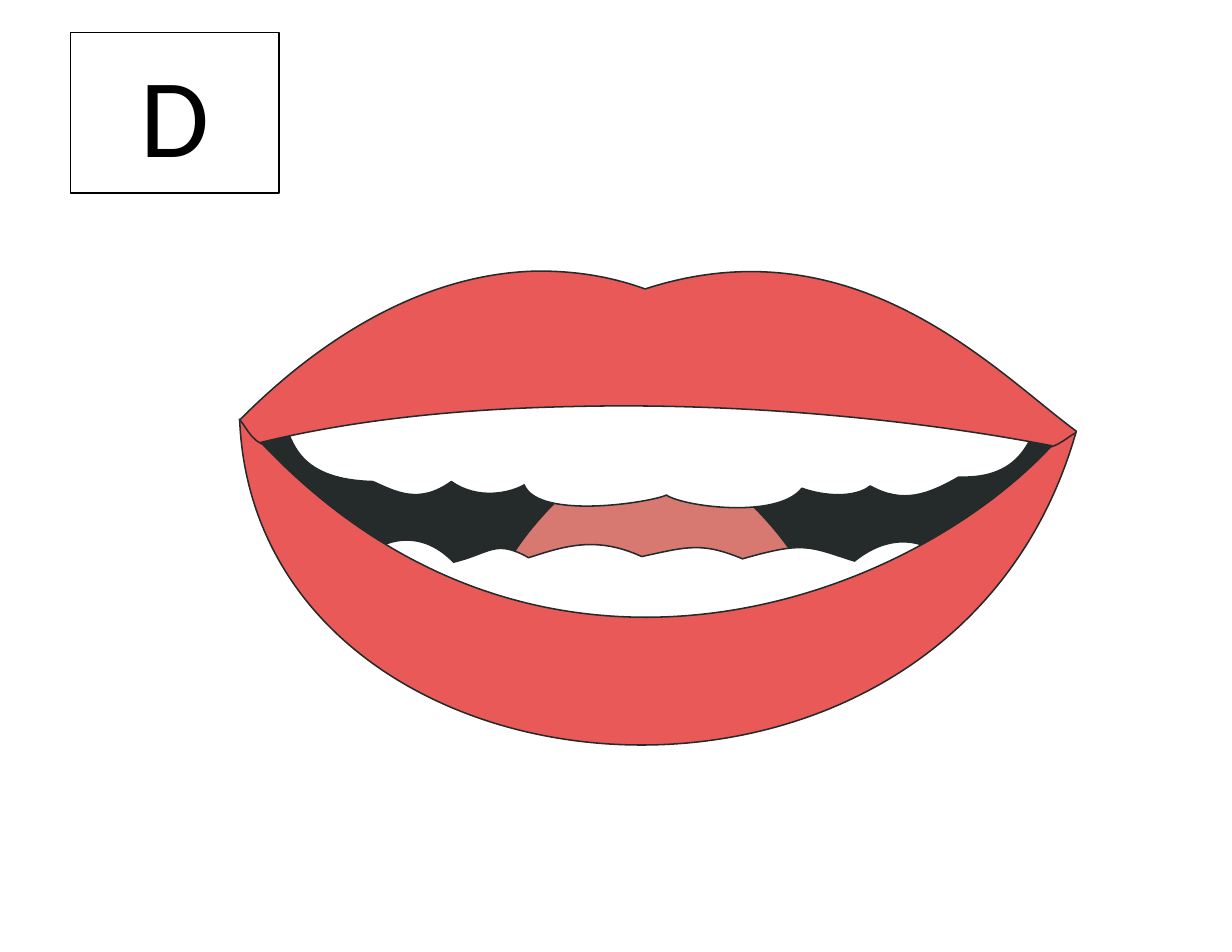
import math

import lxml.etree
import pptx
import pptx.dml.color
import pptx.enum.shapes
import pptx.enum.text
import pptx.oxml.ns
import pptx.util

Cm = pptx.util.Cm
Pt = pptx.util.Pt
qn = pptx.oxml.ns.qn

HUE = {"white": "FFFFFF", "black": "000000", "dark": "252B2A",
       "lip": "E95958", "tongue": "D77971"}
UNIT = 2.54  # centimetres for one drawing unit

# Each contour starts at a point; then 2 numbers are a line, 6 a cubic curve.
MOUTH = [[(2.25, 3.88), (4.6, 3.29, 7.6, 3.53, 9.45, 3.91),
          (8.12, 5.45, 4.79, 6.77, 2.25, 3.88)]]
TONGUE = [[(7.24, 5.59), (6.98, 6.05, 4.7, 6, 4.44, 5.55),
           (4.2, 5.11, 5.35, 3.95, 5.82, 3.95),
           (6.29, 3.96, 7.49, 5.12, 7.24, 5.59)]]
LOWER = [[(3.57, 5.61), (2.55, 5.56, 3.42, 4.36, 4.05, 5.02),
          (4.38, 4.94, 4.42, 4.81, 4.72, 4.98),
          (5.03, 4.88, 5.32, 4.78, 5.73, 4.97),
          (6.14, 4.88, 6.27, 4.84, 6.63, 4.99),
          (7.19, 4.83, 7.22, 4.88, 7.63, 5.01),
          (8.36, 4.42, 9, 5.53, 8.32, 5.63),
          (6.34, 5.95, 5.24, 6.15, 3.57, 5.61)]]
UPPER = [[(5.09, 3.41), (6.62, 3.39, 7.84, 3.46, 9.09, 3.59), (9.31, 3.63),
          (9.22, 3.89, 9.14, 4.28, 8.56, 4.26),
          (8.28, 4.42, 8.06, 4.5, 7.77, 4.34),
          (7.63, 4.45, 7.35, 4.43, 7.16, 4.36),
          (6.94, 4.64, 6.09, 4.52, 5.95, 4.42),
          (5.84, 4.48, 4.81, 4.65, 4.68, 4.33),
          (4.56, 4.4, 4.27, 4.47, 4.03, 4.3),
          (3.74, 4.51, 3.53, 4.39, 3.33, 4.3),
          (2.6, 4.28, 2.6, 3.89, 2.5, 3.65), (2.82, 3.54),
          (3.56, 3.47, 4.32, 3.43, 5.09, 3.41)]]
LIPS = [[(4.81, 2.42), (5.11, 2.42, 5.43, 2.46, 5.76, 2.58),
         (7.64, 1.97, 8.89, 3.32, 9.61, 3.85),
         (8.47, 7.88, 2.29, 7.31, 2.14, 3.75),
         (2.49, 3.4, 3.5, 2.44, 4.81, 2.42)],
        [(5.1, 3.63), (4.15, 3.65, 3.19, 3.74, 2.33, 3.95),
         (4.82, 6.59, 8.09, 5.38, 9.39, 3.98),
         (8.26, 3.76, 6.68, 3.59, 5.1, 3.63)]]
LEFT = [[(2.47, 4.01), (2.24, 3.95, 2.24, 3.86, 2.14, 3.74)]]
RIGHT = [[(9.19, 4.01), (9.43, 4.03, 9.47, 3.94, 9.6, 3.87)]]

# Outline, fill, turn in degrees and the centre of the turn
PARTS = [(MOUTH, "dark", 0, (0, 0)), (TONGUE, "tongue", 180, (5.84, 4.93)),
         (LOWER, "white", 0, (0, 0)), (UPPER, "white", 0, (0, 0)),
         (LIPS, "lip", 0, (0, 0)), (LEFT, None, 204.9, (2.3, 3.88)),
         (RIGHT, None, 175.5, (9.4, 3.94))]


def color(name):
    return pptx.dml.color.RGBColor.from_string(HUE[name])


def paint(shape, fill, line):
    shape.shadow.inherit = False
    if fill:
        shape.fill.solid()
        shape.fill.fore_color.rgb = color(fill)
    else:
        shape.fill.background()
    shape.line.color.rgb = color(line)
    shape.line.width = Pt(1)


def unturn(part, angle, hub):
    """Return the points of a part in EMU, before the shape is turned."""
    cos, sin = math.cos(math.radians(angle)), math.sin(math.radians(angle))
    dots = []
    for x, y in zip(part[::2], part[1::2]):
        dx, dy = x - hub[0], y - hub[1]
        dots.append((Cm((hub[0] + dx * cos + dy * sin) * UNIT),
                     Cm((hub[1] - dx * sin + dy * cos) * UNIT)))
    return dots


def bounds(contours):
    """Return left, top, width and height of what the curves cover."""
    seen = []
    for contour in contours:
        last = contour[0][0]
        for part in contour:
            if len(part) == 3:
                for i in range(101):
                    t = i / 100
                    u = 1 - t
                    mix = (u ** 3, 3 * u * u * t, 3 * u * t * t, t ** 3)
                    seen.append([sum(m * p[k] for m, p in
                                     zip(mix, [last, *part])) for k in (0, 1)])
            last = part[-1]
            seen.append(last)
    xs, ys = zip(*seen)
    return [round(n) for n in (min(xs), min(ys), max(xs) - min(xs),
                               max(ys) - min(ys))]


def bend(shape, contours):
    """Join each three line steps of a curve, and fit the frame to it."""
    left, top, width, height = bounds(contours)
    track = next(shape._element.iter(qn("a:path")))
    for dot in track.iter(qn("a:pt")):
        dot.set("x", str(int(dot.get("x")) + shape.left - left))
        dot.set("y", str(int(dot.get("y")) + shape.top - top))
    track.set("w", str(width))
    track.set("h", str(height))
    lines = iter(track.findall(qn("a:lnTo")))
    for part in (part for contour in contours for part in contour[1:]):
        group = [next(lines) for _ in part]
        if len(group) == 3:
            curve = lxml.etree.Element(qn("a:cubicBezTo"))
            group[0].addprevious(curve)
            for line in group:
                curve.append(line[0])
                track.remove(line)
    shape.left, shape.top = left, top
    shape.width, shape.height = width, height


def draw(slide, outline, fill, angle, hub):
    contours = [[unturn(part, angle, hub) for part in contour]
                for contour in outline]
    pen = None
    for (start,), *parts in contours:
        if pen:
            pen.move_to(*start)
        else:
            pen = slide.shapes.build_freeform(*start)
        pen.add_line_segments([dot for part in parts for dot in part],
                              close=bool(fill))
    shape = pen.convert_to_shape()
    bend(shape, contours)
    shape.rotation = angle
    paint(shape, fill, "dark")
    return shape


def box(slide, left, top, width, height, line):
    shape = slide.shapes.add_shape(
        pptx.enum.shapes.MSO_SHAPE.RECTANGLE,
        Cm(left), Cm(top), Cm(width), Cm(height))
    paint(shape, "white", line)
    return shape


def label(shape, text):
    frame = shape.text_frame
    frame.vertical_anchor = pptx.enum.text.MSO_ANCHOR.MIDDLE
    para = frame.paragraphs[0]
    para.alignment = pptx.enum.text.PP_ALIGN.CENTER
    run = para.add_run()
    run.text = text
    run.font.name = "Calibri"
    run.font.size = Pt(72)
    run.font.color.rgb = color("black")


def main():
    deck = pptx.Presentation()
    deck.slide_width, deck.slide_height = Cm(27.94), Cm(21.59)
    slide = deck.slides.add_slide(deck.slide_layouts[6])
    box(slide, 0, 0, 27.94, 21.59, "white")
    label(box(slide, 1.6, 0.74, 4.73, 3.64, "black"), "D")
    slide.shapes.add_group_shape([draw(slide, *part) for part in PARTS])
    deck.save("out.pptx")


if __name__ == "__main__":
    main()
